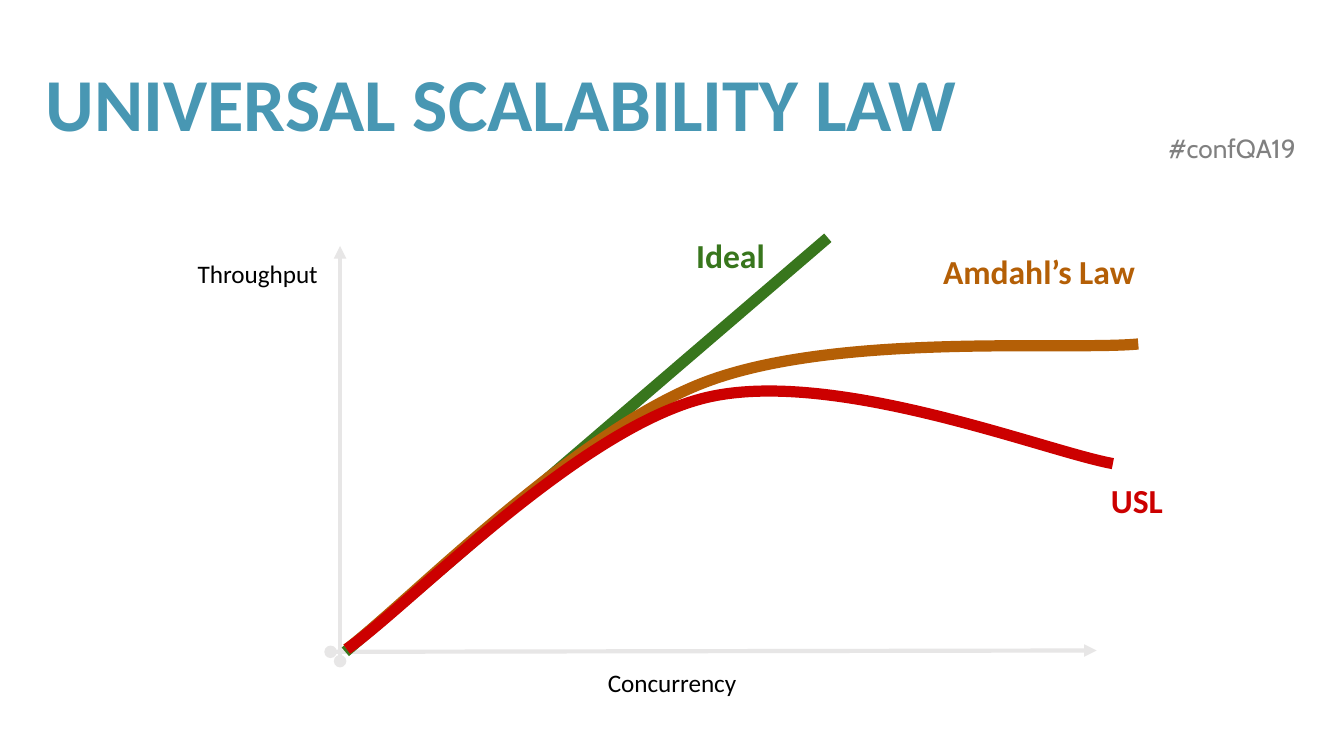
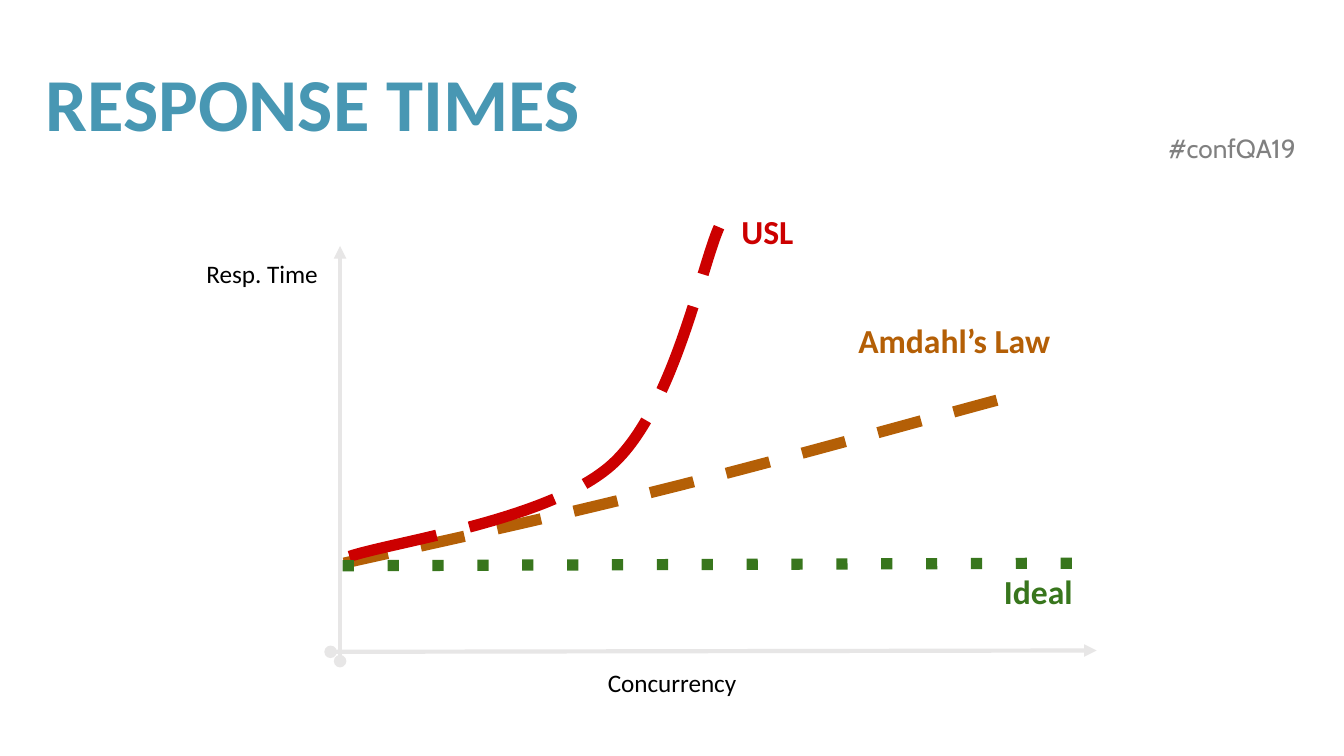
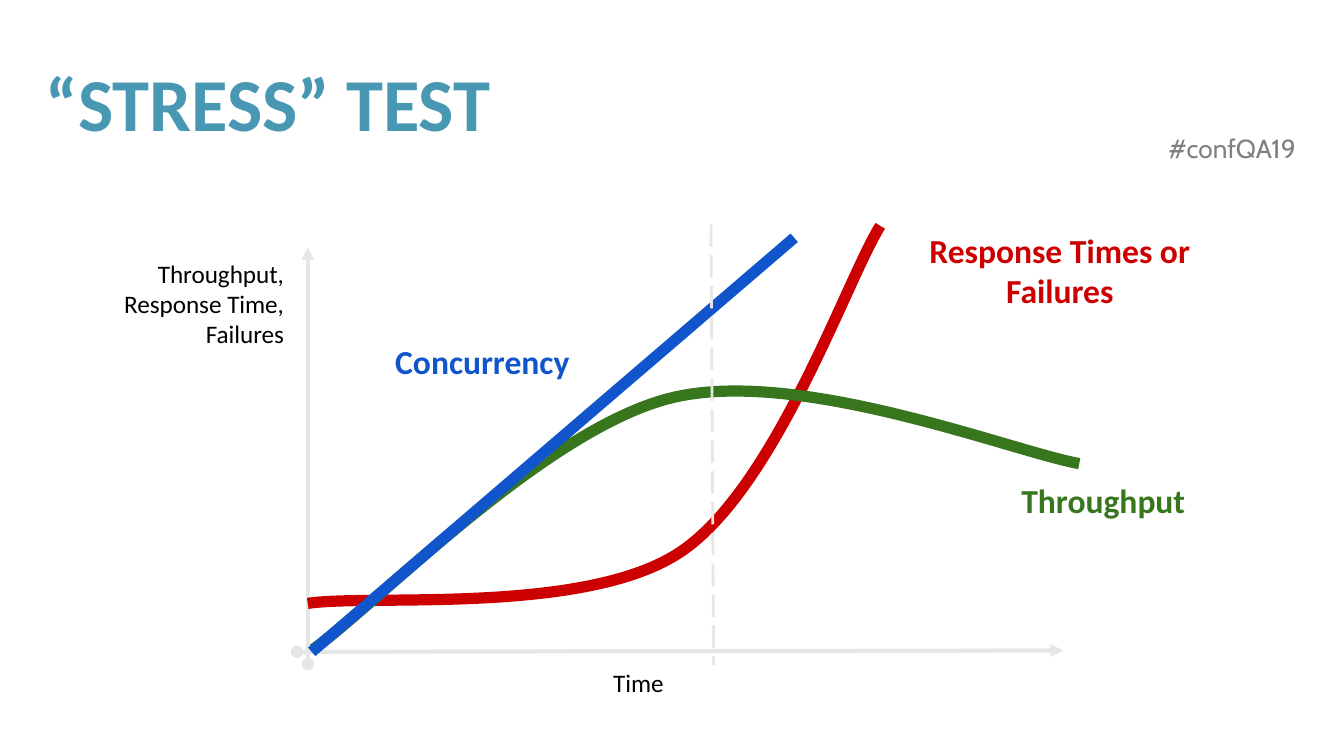
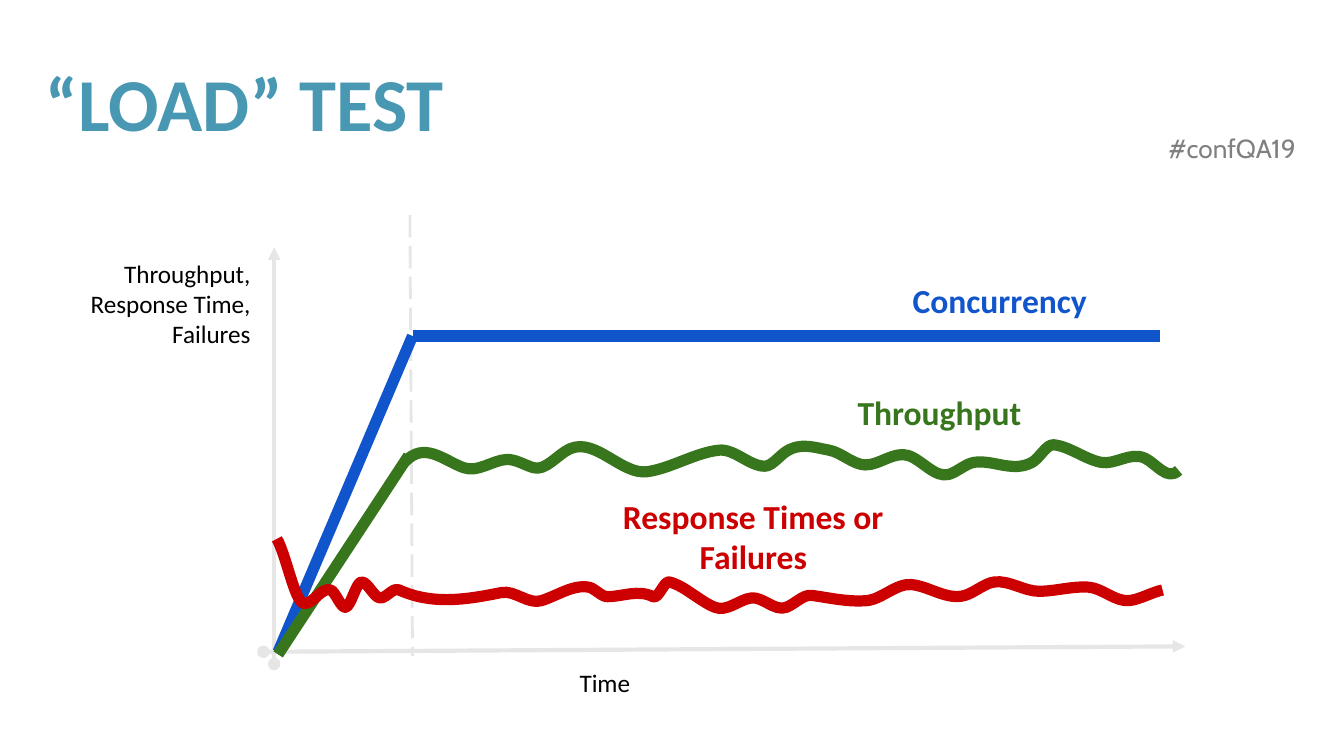
from dataclasses import dataclass
from itertools import pairwise

from lxml.etree import SubElement
from pptx import Presentation
from pptx.dml.color import RGBColor
from pptx.enum.shapes import MSO_CONNECTOR
from pptx.enum.text import MSO_ANCHOR, MSO_AUTO_SIZE, PP_ALIGN
from pptx.oxml.ns import qn
from pptx.util import Pt


@dataclass(frozen=True)
class Theme:
    title: str = "4897B3"
    hashtag: str = "808080"
    axis: str = "E7E6E6"
    text: str = "000000"
    green: str = "38761D"
    orange: str = "B45F06"
    red: str = "CC0000"
    blue: str = "1155CC"
    font: str = "Calibri"
    hashtag_font: str = "Cabin"
    title_size: float = 40
    hashtag_size: float = 14
    axis_size: float = 13.5
    label_size: float = 18
    axis_width: float = 2.25
    marker_width: float = 1.5
    curve_width: float = 6


def wave(knots):
    points = [knots[0][:2]]
    for (x0, y0, slope0), (x1, y1, slope1) in pairwise(knots):
        reach = (x1 - x0) / 3
        points += [
            (x0 + reach, y0 + slope0 * reach),
            (x1 - reach, y1 - slope1 * reach),
            (x1, y1),
        ]
    return points


THEME = Theme()
SLIDE_SIZE = (720, 405)
TITLE_BOX = (24.5, 35, 671, 45.4)
HASHTAG = "#confQA19"
HASHTAG_BOX = (550.1, 67.4, 151.2, 24.5)
VERTICAL_LABEL_BOX = (-145.4, 131, 142.6, 33.1)
HORIZONTAL_LABEL_BOX = (108.7, 350.2, 142.6, 33.1)
AXIS_Y = 349.2

LINEAR_GROWTH = [(5, 349.2), (263.5, 127.4)]
RETROGRADE_GROWTH = [
    (5.8, 347.8), (38.2, 325.4), (129.6, 229.7), (198, 213.1),
    (266.4, 196.6), (380.2, 241.9), (416.2, 248.4),
]
SATURATING_GROWTH = [
    (5.8, 347.8), (37.4, 324), (126, 232.6), (196.6, 205.2),
    (267.1, 177.8), (391, 187.9), (429.8, 184.3),
]
AMDAHL_RESPONSE = [
    (4.3, 301.7), (33.1, 295.2), (116.6, 277.2), (175.7, 262.1),
    (234, 247.7), (326.2, 221.8), (356.4, 213.8),
]
USL_RESPONSE = [
    (7.2, 298.1), (31, 290.2), (114.5, 278.6), (147.6, 249.1),
    (180.7, 219.6), (195.8, 142.6), (205.2, 121.7),
]
STRESS_RESPONSE = [
    (2.9, 323.3), (36, 318.2), (151.2, 329.8), (202.3, 295.9),
    (253.4, 262.1), (291.6, 149.8), (309.6, 121),
]
STEADY_THROUGHPUT = wave([
    (72.7, 247.7, -1.1), (104.4, 250.6, 0.36), (127.4, 246.2, -0.05),
    (141.8, 250.6, 0.3), (161.3, 240.5, -0.45), (203, 252.7, -0.15),
    (241.2, 241.2, -0.11), (265.7, 249.8, 0), (277.2, 241.9, -0.65),
    (300.2, 241.2, 0.18), (319.7, 249.1, 0), (342.7, 244.1, 0.33),
    (364.3, 254.2, -0.29), (378, 247.7, -0.14), (409, 247.7, -0.55),
    (420.5, 238.3, 0.1), (445.7, 247.7, 0.2), (469.4, 245.5, 0.47),
    (487.4, 252, -1),
])
STEADY_RESPONSE = wave([
    (4.3, 288.7, 1.66), (18.7, 323.3, 0.16), (33.1, 316.1, 0.35),
    (41, 325.4, 0), (49.7, 311.8, 0), (59.8, 320.4, 0),
    (69.8, 316.1, 0.45), (124.6, 317.5, -0.2), (146.2, 321.8, -0.32),
    (171.4, 314.6, 0.18), (181.4, 319.7, 0), (205.9, 319.7, 0.5),
    (214.6, 311.8, 0.25), (239, 325.4, 0.4), (258.5, 320.4, -0.12),
    (277.2, 325.4, -0.38), (290.9, 319, 0.14), (320.4, 321.8, -0.09),
    (344.2, 313.2, 0.09), (373, 319, -0.3), (388.8, 311.8, -0.12),
    (412.6, 316.8, 0), (439.2, 314.6, 0.07), (460.8, 321.8, -0.1),
    (478.8, 316.1, -0.22),
])

TEST_AXIS = "Throughput,\nResponse Time,\nFailures"
GRAPHS = [
    {
        "title": "UNIVERSAL SCALABILITY LAW",
        "left": 180,
        "axes": ("Throughput", "Concurrency"),
        "vertical": (2.2, 131.8, 354.2),
        "horizontal_end": (407.5, 348.5),
        "curves": [
            (THEME.green, None, LINEAR_GROWTH),
            (THEME.orange, None, SATURATING_GROWTH),
            (THEME.red, None, RETROGRADE_GROWTH),
        ],
        "labels": [
            ("Ideal", THEME.green, (179.3, 118.8, 64.1, 33.1)),
            ("Amdahl’s Law", THEME.orange, (308.9, 127.4, 135.4, 53.3)),
            ("USL", THEME.red, (361.4, 249.8, 135.4, 33.1)),
        ],
    },
    {
        "title": "RESPONSE TIMES",
        "left": 180,
        "axes": ("Resp. Time", "Concurrency"),
        "vertical": (2.2, 131.8, 354.2),
        "horizontal_end": (407.5, 348.5),
        "curves": [
            (THEME.orange, "dash", AMDAHL_RESPONSE),
            (THEME.red, "lgDash", USL_RESPONSE),
            (THEME.green, "dot", [(3.6, 303.1), (403.2, 301.7)]),
        ],
        "labels": [
            ("Ideal", THEME.green, (344.2, 298.8, 64.1, 33.1)),
            ("Amdahl’s Law", THEME.orange, (263.5, 164.2, 135.4, 33.1)),
            ("USL", THEME.red, (163.4, 105.8, 135.4, 33.1)),
        ],
    },
    {
        "title": "“STRESS” TEST",
        "left": 162,
        "axes": (TEST_AXIS, "Time"),
        "vertical": (2.9, 132.5, 355.7),
        "horizontal_end": (407.5, 348.5),
        "curves": [
            (THEME.red, None, STRESS_RESPONSE),
            (THEME.green, None, RETROGRADE_GROWTH),
            (THEME.blue, None, LINEAR_GROWTH),
            (THEME.axis, "lgDash", [(218.9, 120.2), (220.3, 356.4)]),
        ],
        "labels": [
            ("Concurrency", THEME.blue, (11.5, 175.7, 169.9, 33.1)),
            ("Response Times or Failures", THEME.red, (315.4, 115.9, 180.7, 33.1)),
            ("Throughput", THEME.green, (361.4, 249.8, 135.4, 33.1)),
        ],
    },
    {
        "title": "“LOAD” TEST",
        "left": 144,
        "axes": (TEST_AXIS, "Time"),
        "vertical": (2.9, 132.5, 355.7),
        "horizontal_end": (491, 346.3),
        "curves": [
            (THEME.axis, "lgDash", [(75.6, 115.2), (77, 351.4)]),
            (THEME.blue, None, [(5, 349.2), (77, 180)]),
            (THEME.blue, None, [(77, 180), (477.4, 180)]),
            (THEME.green, None, [(5, 350.6), (74.9, 244.1)]),
            (THEME.green, None, STEADY_THROUGHPUT),
            (THEME.red, None, STEADY_RESPONSE),
        ],
        "labels": [
            ("Concurrency", THEME.blue, (306.7, 142.6, 169.9, 33.1)),
            ("Response Times or Failures", THEME.red, (169.2, 258.5, 180.7, 46.8)),
            ("Throughput", THEME.green, (291.6, 203, 135.4, 33.1)),
        ],
    },
]


def shift(box, left):
    return (box[0] + left, *box[1:])


def write(frame, text, size, color, align, inset, font=THEME.font, bold=False):
    frame.text = text
    frame.word_wrap = True
    frame.margin_left = frame.margin_right = Pt(inset[0])
    frame.margin_top = frame.margin_bottom = Pt(inset[1])
    for paragraph in frame.paragraphs:
        paragraph.alignment = align
        for run in paragraph.runs:
            run.font.name = font
            run.font.size = Pt(size)
            run.font.bold = bold
            run.font.color.rgb = RGBColor.from_string(color)


def add_label(slide, text, box, size, color, align, inset=(7.2, 7.2), **style):
    label = slide.shapes.add_textbox(*map(Pt, box))
    write(label.text_frame, text, size, color, align, inset, **style)
    return label


def style_line(stroke, color, width, dash=None, arrow=False):
    stroke.line.color.rgb = RGBColor.from_string(color)
    stroke.line.width = Pt(width)
    outline = stroke.element.spPr.find(qn("a:ln"))
    if dash:
        SubElement(outline, qn("a:prstDash")).set("val", dash)
    if arrow:
        SubElement(outline, qn("a:headEnd")).set("type", "triangle")
        SubElement(outline, qn("a:tailEnd")).set("type", "oval")


def add_straight(slide, start, end, color, width, dash=None, arrow=False):
    straight = slide.shapes.add_connector(
        MSO_CONNECTOR.STRAIGHT, *map(Pt, (*start, *end))
    )
    style_line(straight, color, width, dash, arrow)
    SubElement(straight.element.spPr, qn("a:effectLst"))


def add_bezier(slide, points, color, width, dash):
    start, *rest = [(Pt(x), Pt(y)) for x, y in points]
    builder = slide.shapes.build_freeform(*start)
    builder.add_line_segments(rest, close=False)
    bezier = builder.convert_to_shape()
    bezier.fill.background()
    bezier.shadow.inherit = False
    style_line(bezier, color, width, dash)
    segments = list(bezier.element.iter(qn("a:lnTo")))
    outline = segments[0].getparent()
    for first in range(0, len(segments), 3):
        cubic = SubElement(outline, qn("a:cubicBezTo"))
        for segment in segments[first:first + 3]:
            cubic.append(segment[0])
            outline.remove(segment)


def add_title(slide, text):
    title = slide.shapes.title
    title.left, title.top, title.width, title.height = map(Pt, TITLE_BOX)
    frame = title.text_frame
    write(frame, text, THEME.title_size, THEME.title, PP_ALIGN.LEFT, (0, 0), bold=True)
    frame.vertical_anchor = MSO_ANCHOR.MIDDLE
    frame.auto_size = MSO_AUTO_SIZE.NONE
    frame.paragraphs[0].line_spacing = 0.9


def add_axes(slide, graph):
    left = graph["left"]
    x, top, bottom = graph["vertical"]
    ends = [
        ((left + x, top), (left + x, bottom)),
        (shift(graph["horizontal_end"], left), (left - 2.9, AXIS_Y)),
    ]
    for tip, origin in ends:
        add_straight(slide, tip, origin, THEME.axis, THEME.axis_width, arrow=True)
    boxes = (VERTICAL_LABEL_BOX, HORIZONTAL_LABEL_BOX)
    aligns = (PP_ALIGN.RIGHT, PP_ALIGN.CENTER)
    for text, box, align in zip(graph["axes"], boxes, aligns):
        add_label(slide, text, shift(box, left), THEME.axis_size, THEME.text, align)


def add_graph(slide, graph):
    left = graph["left"]
    add_title(slide, graph["title"])
    add_axes(slide, graph)
    for color, dash, points in graph["curves"]:
        width = THEME.marker_width if color == THEME.axis else THEME.curve_width
        placed = [shift(point, left) for point in points]
        if len(placed) == 2:
            add_straight(slide, *placed, color, width, dash)
        else:
            add_bezier(slide, placed, color, width, dash)
    for text, color, box in graph["labels"]:
        add_label(slide, text, shift(box, left), THEME.label_size, color,
                  PP_ALIGN.CENTER, bold=True)


def move_hashtag_to_layout(slide, layout):
    hashtag = add_label(slide, HASHTAG, HASHTAG_BOX, THEME.hashtag_size, THEME.hashtag,
                        PP_ALIGN.RIGHT, (7.2, 3.6), font=THEME.hashtag_font)
    hashtag.text_frame.auto_size = MSO_AUTO_SIZE.SHAPE_TO_FIT_TEXT
    layout.shapes.element.append(hashtag.element)


def main():
    deck = Presentation()
    deck.slide_width, deck.slide_height = map(Pt, SLIDE_SIZE)
    layout = deck.slide_layouts.get_by_name("Title Only")
    slides = [deck.slides.add_slide(layout) for _ in GRAPHS]
    move_hashtag_to_layout(slides[0], layout)
    for slide, graph in zip(slides, GRAPHS):
        add_graph(slide, graph)
    deck.save("out.pptx")


if __name__ == "__main__":
    main()
